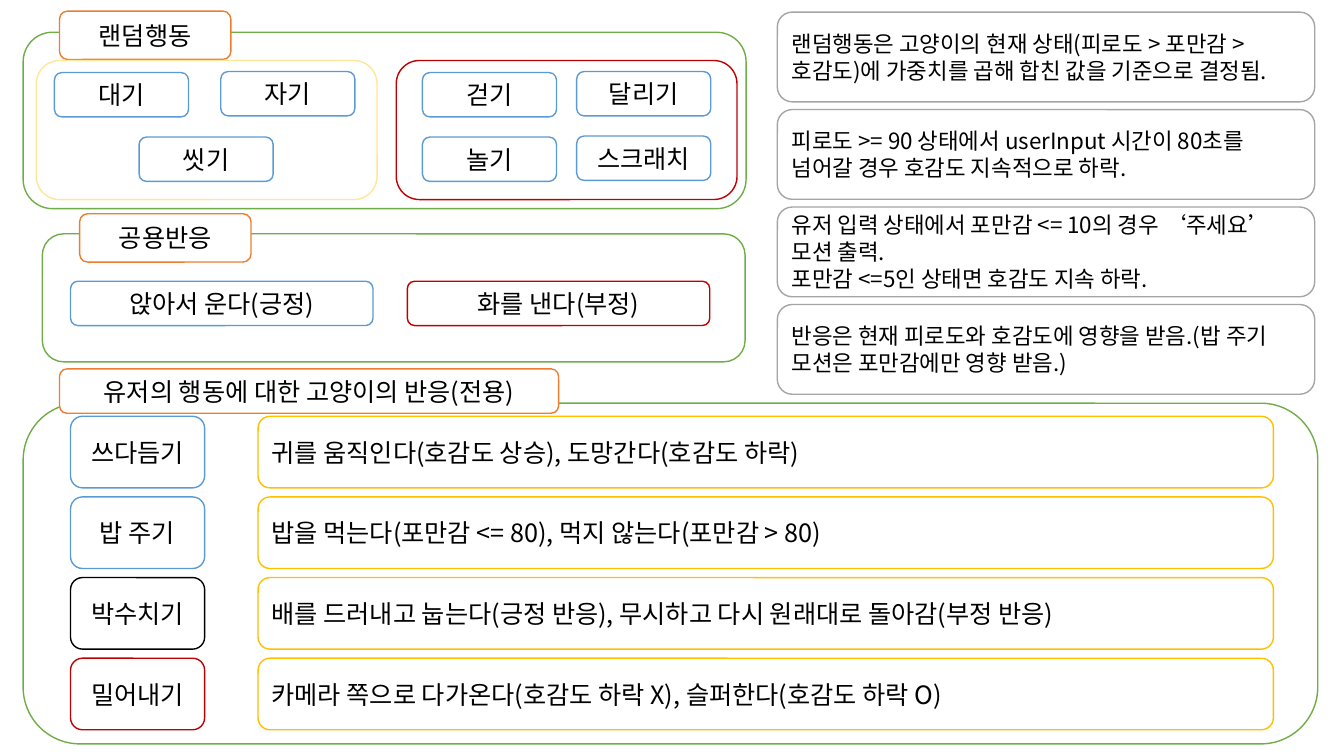
from pptx import Presentation
from pptx import util as u
from pptx.dml.color import RGBColor
from pptx.enum import shapes, text
from pptx.oxml.ns import qn

COLORS = {
    "white": "FFFFFF", "black": "000000", "green": "70AD47", "orange": "ED7D31",
    "blue": "5B9BD5", "red": "C00000", "gold": "FFC000", "pale": "FFE699", "gray": "A5A5A5",
}


def write_text(box, content, font="Noto Sans CJK KR", size=18, color="black", align="CENTER"):
    frame = box.text_frame
    frame.word_wrap = True
    frame.vertical_anchor = text.MSO_ANCHOR.MIDDLE
    frame.text = content
    for para in frame.paragraphs:
        para.alignment = getattr(text.PP_ALIGN, align)
        for span in para.runs:
            span.font.name = font
            span.font.size = u.Pt(size)
            span.font.color.rgb = RGBColor.from_string(COLORS[color])
            east_asian = span.font._element.makeelement(qn("a:ea"), {"typeface": font})
            span.font._element.find(qn("a:latin")).addnext(east_asian)


class Board:
    def __init__(self, page, line_width=1):
        self.page = page
        self.line_width = u.Pt(line_width)

    def frame(self, left, top, width, height, line):
        box = self.page.shapes.add_shape(
            shapes.MSO_SHAPE.ROUNDED_RECTANGLE,
            *(u.Inches(length) for length in (left, top, width, height)))
        box.shadow.inherit = False
        box.fill.solid()
        box.fill.fore_color.rgb = RGBColor.from_string(COLORS["white"])
        box.line.color.rgb = RGBColor.from_string(COLORS[line])
        box.line.width = self.line_width
        return box

    def label(self, content, left, top, width, height, line, **style):
        write_text(self.frame(left, top, width, height, line), content, **style)


deck = Presentation()
deck.slide_width = u.Inches(13.33)
deck.slide_height = u.Inches(7.5)
board = Board(deck.slides.add_slide(deck.slide_layouts[6]))

board.frame(0.42, 2.32, 6.97, 1.27, "green")
board.frame(0.23, 0.32, 7.17, 1.75, "green")
board.frame(0.23, 4, 12.84, 3.38, "green")

board.label("랜덤행동", 0.59, 0.11, 1.7, 0.48, "orange")
board.label("공용반응", 0.79, 2.12, 1.7, 0.48, "orange")
board.label("유저의 행동에 대한 고양이의 반응(전용)", 0.59, 3.66, 4.95, 0.44, "orange")

for left, line in ((0.36, "pale"), (3.93, "red")):
    board.frame(left, 0.6, 3.38, 1.38, line)

random_actions = [
    ("대기", 0.54, 0.72), ("자기", 2.19, 0.71), ("씻기", 1.38, 1.36),
    ("걷기", 4.19, 0.72), ("달리기", 5.72, 0.71),
    ("놀기", 4.19, 1.36), ("스크래치", 5.72, 1.35),
]
for action, left, top in random_actions:
    board.label(action, left, top, 1.33, 0.44, "blue")

board.label("앉아서 운다(긍정)", 0.7, 2.79, 3, 0.44, "blue")
board.label("화를 낸다(부정)", 4.04, 2.79, 3, 0.44, "red")

user_actions = [
    ("쓰다듬기", "blue", "귀를 움직인다(호감도 상승), 도망간다(호감도 하락)"),
    ("밥 주기", "blue", "밥을 먹는다(포만감 <= 80), 먹지 않는다(포만감 > 80)"),
    ("박수치기", "black", "배를 드러내고 눕는다(긍정 반응), 무시하고 다시 원래대로 돌아감(부정 반응)"),
    ("밀어내기", "red", "카메라 쪽으로 다가온다(호감도 하락 X), 슬퍼한다(호감도 하락 O)"),
]
for row, (action, line, reaction) in enumerate(user_actions):
    top = 4.13 + row * 0.8
    board.label(action, 0.7, top, 1.33, 0.71, line)
    board.label(reaction, 2.56, top, 10.07, 0.71, "gold", align="LEFT")

notes = [
    "랜덤행동은 고양이의 현재 상태(피로도 > 포만감 > 호감도)에 가중치를 곱해 합친 값을 기준으로 결정됨.",
    "피로도 >= 90 상태에서 userInput 시간이 80초를 넘어갈 경우 호감도 지속적으로 하락.",
    "유저 입력 상태에서 포만감 <= 10의 경우 ‘주세요’ 모션 출력.\n포만감 <=5인 상태면 호감도 지속 하락.",
    "반응은 현재 피로도와 호감도에 영향을 받음.(밥 주기 모션은 포만감에만 영향 받음.)",
]
for row, note in enumerate(notes):
    board.label(note, 7.71, 0.12 + row * 0.967, 5.33, 0.89, "gray", size=16, align="LEFT")

deck.save("out.pptx")
